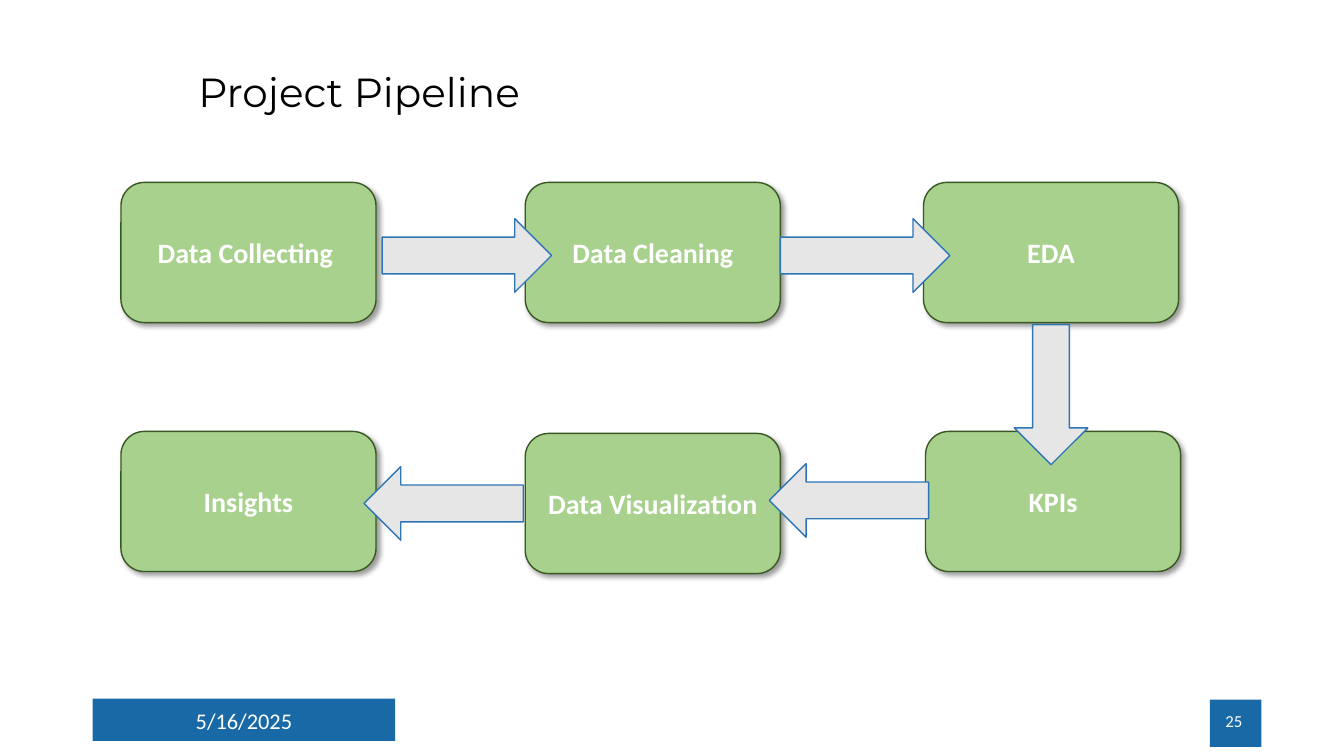
from dataclasses import dataclass

import pptx
import pptx.dml.color
import pptx.enum.shapes
import pptx.enum.text
import pptx.oxml
import pptx.oxml.ns
import pptx.util

Inches = pptx.util.Inches
Shapes = pptx.enum.shapes.MSO_SHAPE
Align = pptx.enum.text.PP_ALIGN
Anchor = pptx.enum.text.MSO_ANCHOR


@dataclass
class Theme:
    body_font: str = "Calibri"
    title_font: str = "Montserrat"
    title_size: int = 29
    step_size: int = 20
    date_size: int = 16
    number_size: int = 12
    black: str = "000000"
    white: str = "FFFFFF"
    footer_fill: str = "1869A6"
    step_fill: str = "A9D18E"
    step_line: str = "385723"
    arrow_fill: str = "E7E6E6"
    arrow_line: str = "2E75B6"


class PipelineSlide:
    def __init__(self, slide, theme):
        self.slide = slide
        self.theme = theme

    def shape(self, kind, bounds, fill, line=None):
        shape = self.slide.shapes.add_shape(kind, *map(Inches, bounds))
        shape.shadow.inherit = False
        shape.fill.solid()
        shape.fill.fore_color.rgb = pptx.dml.color.RGBColor.from_string(fill)
        if line:
            shape.line.color.rgb = pptx.dml.color.RGBColor.from_string(line)
            shape.line.width = pptx.util.Pt(1)
        else:
            shape.line.fill.background()
        return shape

    def set_text(self, frame, text, size, color, align, font=None, bold=False, anchor=Anchor.MIDDLE):
        frame.word_wrap = True
        frame.vertical_anchor = anchor
        frame.text = text
        paragraph = frame.paragraphs[0]
        paragraph.alignment = align
        style = paragraph.runs[0].font
        style.name = font or self.theme.body_font
        style.size = pptx.util.Pt(size)
        style.bold = bold
        style.color.rgb = pptx.dml.color.RGBColor.from_string(color)

    def label(self, bounds, text, size, color, align, **style):
        box = self.slide.shapes.add_textbox(*map(Inches, bounds))
        self.set_text(box.text_frame, text, size, color, align, **style)

    def footer_bar(self, bounds):
        self.shape(Shapes.RECTANGLE, bounds, self.theme.footer_fill)

    def step(self, left, top, text):
        theme = self.theme
        box = self.shape(Shapes.ROUNDED_RECTANGLE, (left, top, 2.53, 1.39),
                         theme.step_fill, theme.step_line)
        self.set_text(box.text_frame, text, theme.step_size, theme.white, Align.CENTER, bold=True)
        effects = box.element.spPr.find(pptx.oxml.ns.qn("a:effectLst"))
        effects.append(pptx.oxml.parse_xml(
            f'<a:outerShdw {pptx.oxml.ns.nsdecls("a")} blurRad="{pptx.util.Pt(4)}" '
            f'dist="{pptx.util.Pt(3)}" dir="2700000" algn="tl" rotWithShape="0">'
            f'<a:srgbClr val="{theme.black}"><a:alpha val="40000"/></a:srgbClr></a:outerShdw>'))

    def arrow(self, kind, bounds):
        self.shape(kind, bounds, self.theme.arrow_fill, self.theme.arrow_line)


def main():
    deck = pptx.Presentation()
    deck.slide_width, deck.slide_height = Inches(13.33), Inches(7.5)
    theme = Theme()
    pipeline = PipelineSlide(deck.slides.add_slide(deck.slide_layouts[6]), theme)

    pipeline.footer_bar((0.92, 6.93, 3, 0.42))
    pipeline.footer_bar((12, 6.94, 0.51, 0.47))
    pipeline.label((0.92, 6.95, 3, 0.4), "5/16/2025", theme.date_size, theme.white, Align.CENTER)
    pipeline.label((9.42, 6.95, 3, 0.4), "25", theme.number_size, theme.white, Align.RIGHT)
    pipeline.label((1.87, 0.61, 3.73, 1.19), "Project Pipeline", theme.title_size, theme.black,
                   Align.LEFT, font=theme.title_font, anchor=Anchor.TOP)

    for left, top, text in (
        (1.2, 1.81, "Data Collecting "),
        (5.21, 1.81, "Data Cleaning"),
        (9.16, 1.81, "EDA"),
        (9.18, 4.28, "KPIs"),
        (5.21, 4.3, "Data Visualization"),
        (1.2, 4.28, "Insights"),
    ):
        pipeline.step(left, top, text)

    for kind, bounds in (
        (Shapes.RIGHT_ARROW, (3.79, 2.17, 1.68, 0.73)),
        (Shapes.RIGHT_ARROW, (7.74, 2.17, 1.68, 0.73)),
        (Shapes.DOWN_ARROW, (10.06, 3.22, 0.73, 1.39)),
        (Shapes.LEFT_ARROW, (7.63, 4.6, 1.58, 0.73)),
        (Shapes.LEFT_ARROW, (3.61, 4.63, 1.58, 0.73)),
    ):
        pipeline.arrow(kind, bounds)

    deck.save("out.pptx")


if __name__ == "__main__":
    main()
